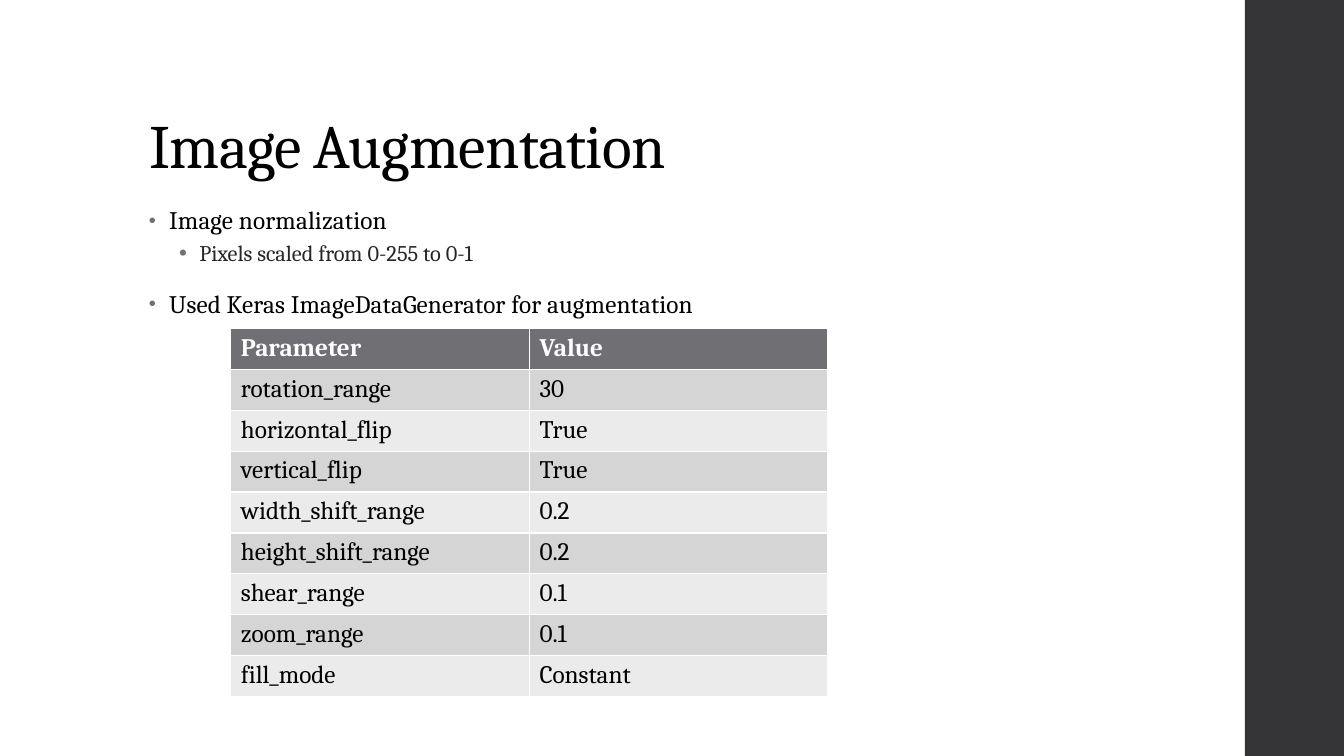
from lxml.etree import SubElement
from pptx import Presentation
from pptx.dml.color import RGBColor
from pptx.enum.shapes import MSO_SHAPE as Shape
from pptx.enum.text import MSO_ANCHOR as Anchor, MSO_AUTO_SIZE as AutoSize, PP_ALIGN as Align
from pptx.oxml.ns import qn
from pptx.util import Pt


def color(value):
    return RGBColor.from_string(value)


def write(paragraph, text, size=18, ink="000000", bold=False, tracking=0):
    run = paragraph.add_run()
    run.text = text
    run.font.name = "Cambria"
    run.font.size = Pt(size)
    run.font.bold = bold
    run.font.color.rgb = color(ink)
    run.font._element.set("spc", str(round(tracking * 100)))


deck = Presentation()
deck.slide_width, deck.slide_height = Pt(960), Pt(540)
slide = deck.slides.add_slide(deck.slide_layouts[5])

side_bar = slide.shapes.add_shape(Shape.RECTANGLE, Pt(889.2), 0, Pt(72), Pt(540))
side_bar.width = deck.slide_width - side_bar.left
side_bar.shadow.inherit = False
side_bar.fill.solid()
side_bar.fill.fore_color.rgb = color("353537")
side_bar.line.fill.background()

title = slide.shapes.title
title.left, title.top, title.width, title.height = Pt(99.36), Pt(28.8), Pt(763.2), Pt(104.4)
title.text_frame.auto_size = AutoSize.NONE
title.text_frame.vertical_anchor = Anchor.BOTTOM
heading = title.text_frame.paragraphs[0]
heading.alignment = Align.LEFT
heading.line_spacing = 0.9
write(heading, "Image Augmentation", size=44, tracking=-0.5)

points = [
    (0, "Image normalization"),
    (1, "Pixels scaled from 0-255 to 0-1"),
    (0, "Used Keras ImageDataGenerator for augmentation"),
]
level_styles = [
    dict(indent=14.4, line=0.95, before=14, after=2, bullet=80,
         text=dict(size=18, tracking=0.1)),
    dict(indent=36, line=0.9, before=3, after=3, bullet=100,
         text=dict(size=16, ink="262626")),
]
body = slide.shapes.add_textbox(Pt(99.36), Pt(144), Pt(676.8), Pt(342.72)).text_frame
body.word_wrap = True
for index, (level, text) in enumerate(points):
    style = level_styles[level]
    point = body.add_paragraph() if index else body.paragraphs[0]
    point.level = level
    point.line_spacing = style["line"]
    point.space_before = Pt(style["before"])
    point.space_after = Pt(style["after"])
    props = point._p.get_or_add_pPr()
    props.set("marL", str(Pt(style["indent"])))
    props.set("indent", str(Pt(-14.4)))
    SubElement(SubElement(props, qn("a:buClr")), qn("a:srgbClr"), val="6F6F74")
    SubElement(props, qn("a:buSzPct"), val=str(style["bullet"] * 1000))
    SubElement(props, qn("a:buFont"), typeface="Arial")
    SubElement(props, qn("a:buChar"), char="•")
    write(point, text, **style["text"])

settings = [
    ("Parameter", "Value"),
    ("rotation_range", "30"),
    ("horizontal_flip", "True"),
    ("vertical_flip", "True"),
    ("width_shift_range", "0.2"),
    ("height_shift_range", "0.2"),
    ("shear_range", "0.1"),
    ("zoom_range", "0.1"),
    ("fill_mode", "Constant"),
]
grid = slide.shapes.add_table(
    len(settings), 2, Pt(164.88), Pt(234.72), Pt(426.6), Pt(29.2 * len(settings))
).table
for row, entries in enumerate(settings):
    header = row == 0
    band = "6F6F74" if header else "D5D5D6" if row % 2 else "EBEBEB"
    for column, entry in enumerate(entries):
        cell = grid.cell(row, column)
        cell.fill.solid()
        cell.fill.fore_color.rgb = color(band)
        write(cell.text_frame.paragraphs[0], entry,
              ink="FFFFFF" if header else "000000", bold=header)

deck.save("out.pptx")
